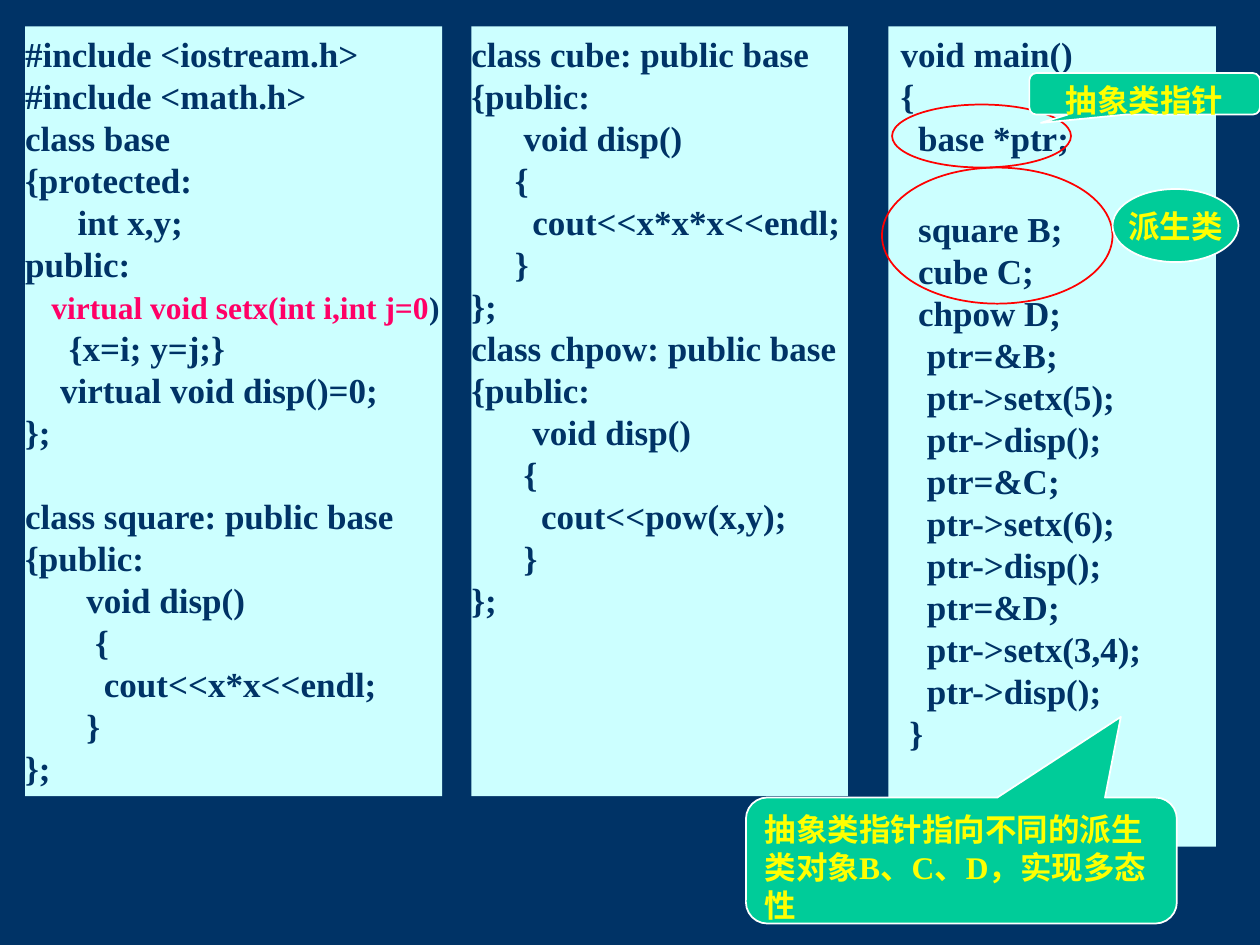
import dataclasses

import pptx
import pptx.dml.color
import pptx.enum.shapes
import pptx.enum.text
import pptx.util

Inches, Pt = pptx.util.Inches, pptx.util.Pt
Shape = pptx.enum.shapes.MSO_SHAPE
Align = pptx.enum.text.PP_ALIGN
Anchor = pptx.enum.text.MSO_ANCHOR


@dataclasses.dataclass
class Theme:
    navy: str = "003366"
    pale: str = "CCFFFF"
    green: str = "00CC99"
    yellow: str = "FFFF00"
    pink: str = "FF0066"
    red: str = "FF0000"
    white: str = "FFFFFF"
    font: str = "Times New Roman"
    code: int = 20
    note: int = 18
    lead: float = 1.2


BASE = """#include <iostream.h>
#include <math.h>
class base
{protected:
      int x,y;
public:
   virtual void setx(int i,int j=0)
     {x=i; y=j;}
    virtual void disp()=0;
};

class square: public base
{public:
       void disp()
        {
         cout<<x*x<<endl;
       }
};"""

CUBE = """class cube: public base
{public:
      void disp()
     {
       cout<<x*x*x<<endl;
     }
};
class chpow: public base
{public:
       void disp()
      {
        cout<<pow(x,y);
      }
};"""

MAIN = """void main()
{
  base *ptr;

  square B;
  cube C;
  chpow D;
   ptr=&B;
   ptr->setx(5);
   ptr->disp();
   ptr=&C;
   ptr->setx(6);
   ptr->disp();
   ptr=&D;
   ptr->setx(3,4);
   ptr->disp();
 }"""

KEY = "virtual void setx(int i,int j=0"


def rgb(code):
    return pptx.dml.color.RGBColor.from_string(code)


class Page:
    def __init__(self, slide, theme):
        self.slide, self.theme = slide, theme
        slide.background.fill.solid()
        slide.background.fill.fore_color.rgb = rgb(theme.navy)

    def shape(self, kind, box, fill=None, line=None):
        item = self.slide.shapes.add_shape(kind, *map(Inches, box))
        item.shadow.inherit = False
        if fill:
            item.fill.solid()
            item.fill.fore_color.rgb = rgb(fill)
        else:
            item.fill.background()
        if line:
            item.line.color.rgb = rgb(line)
            item.line.width = Pt(1)
        else:
            item.line.fill.background()
        return item

    def frame(self, item, side=0.1, anchor=Anchor.TOP, wrap=True):
        frame = item.text_frame
        frame.margin_left = frame.margin_right = Inches(side)
        frame.margin_top = frame.margin_bottom = Inches(0.05)
        frame.vertical_anchor, frame.word_wrap = anchor, wrap
        return frame

    def style(self, run, size, color):
        font = run.font
        font.name, font.size, font.bold = self.theme.font, Pt(size), True
        font.color.rgb = rgb(color)

    def format(self, para, size, color, align=Align.LEFT):
        para.alignment = align
        para.line_spacing = Pt(size * self.theme.lead)
        for run in para.runs:
            self.style(run, size, color)

    def code(self, box, text, side=0, gap=24):
        """Draw a code panel; a blank line becomes space before the next one."""
        look = self.theme
        frame = self.frame(self.shape(Shape.RECTANGLE, box, look.pale), side)
        para, space = frame.paragraphs[0], 0
        for index, line in enumerate(text.split("\n")):
            if not line:
                space = gap
                continue
            if index:
                para = frame.add_paragraph()
            head, key, tail = line.partition(KEY)
            para.text = head
            para.space_before = Pt(space)
            self.format(para, look.code, look.navy)
            if key:
                for part, color in ((key, look.pink), (tail, look.navy)):
                    run = para.add_run()
                    run.text = part
                    self.style(run, look.note, color)
            space = 0

    def ring(self, box):
        self.shape(Shape.OVAL, box, line=self.theme.red)

    def note(self, kind, box, text, align, tip=(), **layout):
        """Draw a green note; tip gives a callout's pointer adjustments."""
        look = self.theme
        item = self.shape(kind, box, look.green, look.white)
        for index, value in enumerate(tip):
            item.adjustments[index] = value
        frame = self.frame(item, **layout)
        frame.text = text
        self.format(frame.paragraphs[0], look.note, look.yellow, align)


def main():
    deck = pptx.Presentation()
    deck.slide_width, deck.slide_height = Inches(10), Inches(7.5)
    page = Page(deck.slides.add_slide(deck.slide_layouts[6]), Theme())

    page.code((0.2, 0.21, 3.31, 6.11), BASE)
    page.code((3.74, 0.21, 2.99, 6.11), CUBE)
    page.code((7.05, 0.21, 2.6, 6.51), MAIN, side=0.1, gap=28)

    call = Shape.ROUNDED_RECTANGULAR_CALLOUT
    page.ring((7.08, 0.83, 1.42, 0.5))
    page.note(call, (8.17, 0.58, 1.83, 0.33), "抽象类指针", Align.CENTER,
              tip=(-0.45, 0.7, 0.17))
    page.ring((7, 1.33, 1.83, 1.08))
    page.note(Shape.OVAL, (8.83, 1.5, 1, 0.58), "派生类", Align.CENTER,
              anchor=Anchor.MIDDLE, wrap=False)
    page.note(call, (5.92, 6.33, 3.42, 1),
              "抽象类指针指向不同的派生类对象B、C、D，实现多态性", Align.LEFT,
              tip=(0.37, -1.14, 0.17))

    deck.save("out.pptx")


if __name__ == "__main__":
    main()
